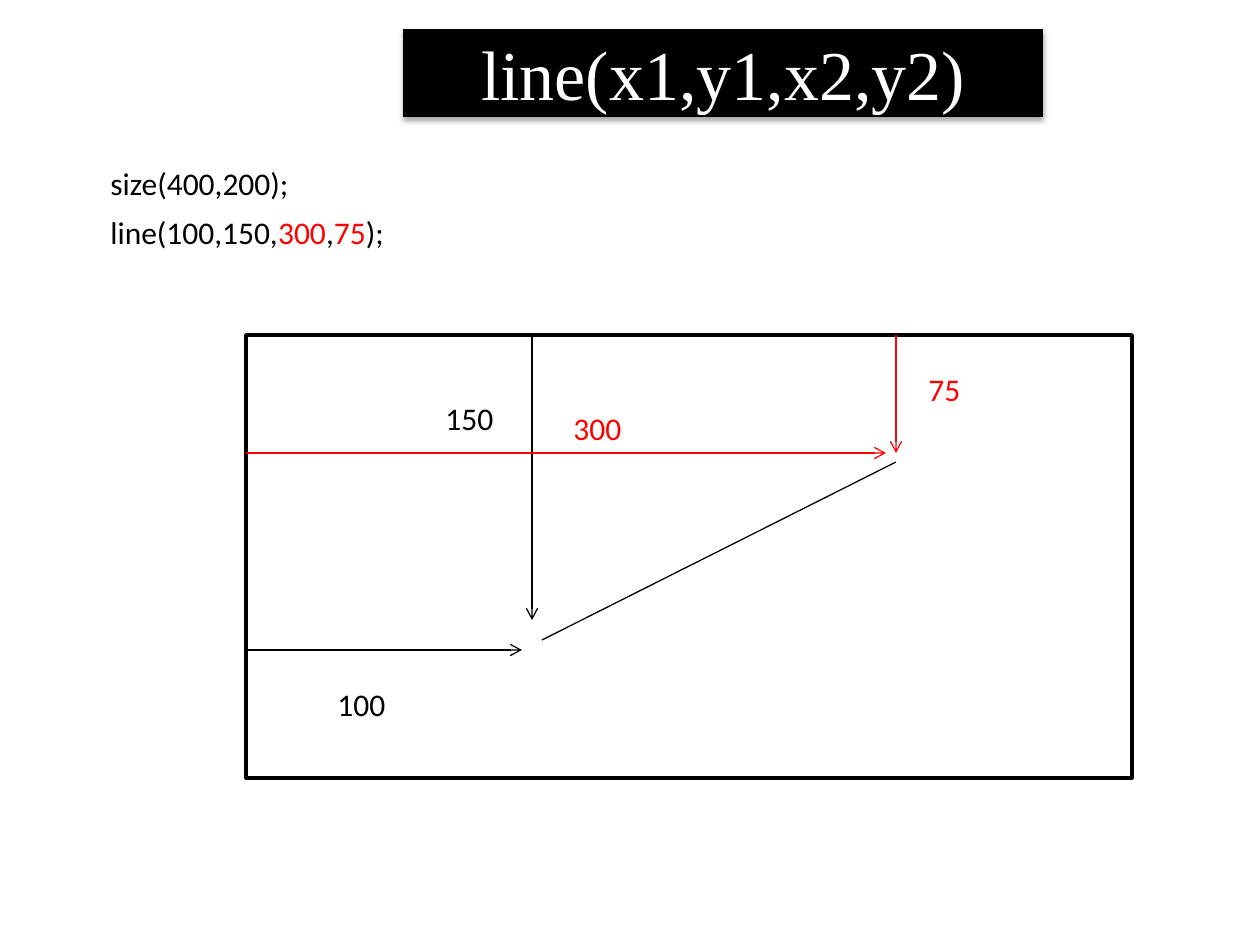
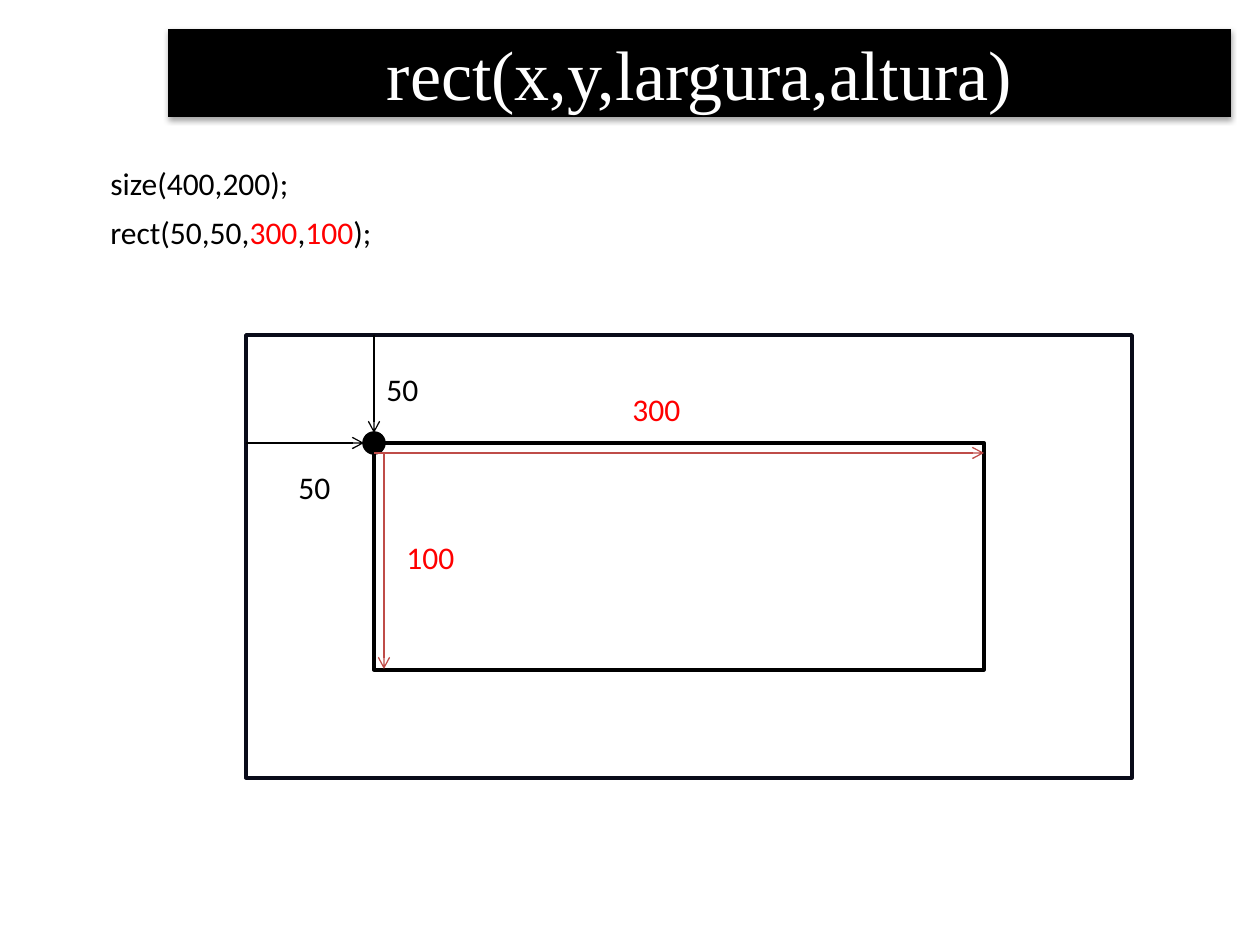
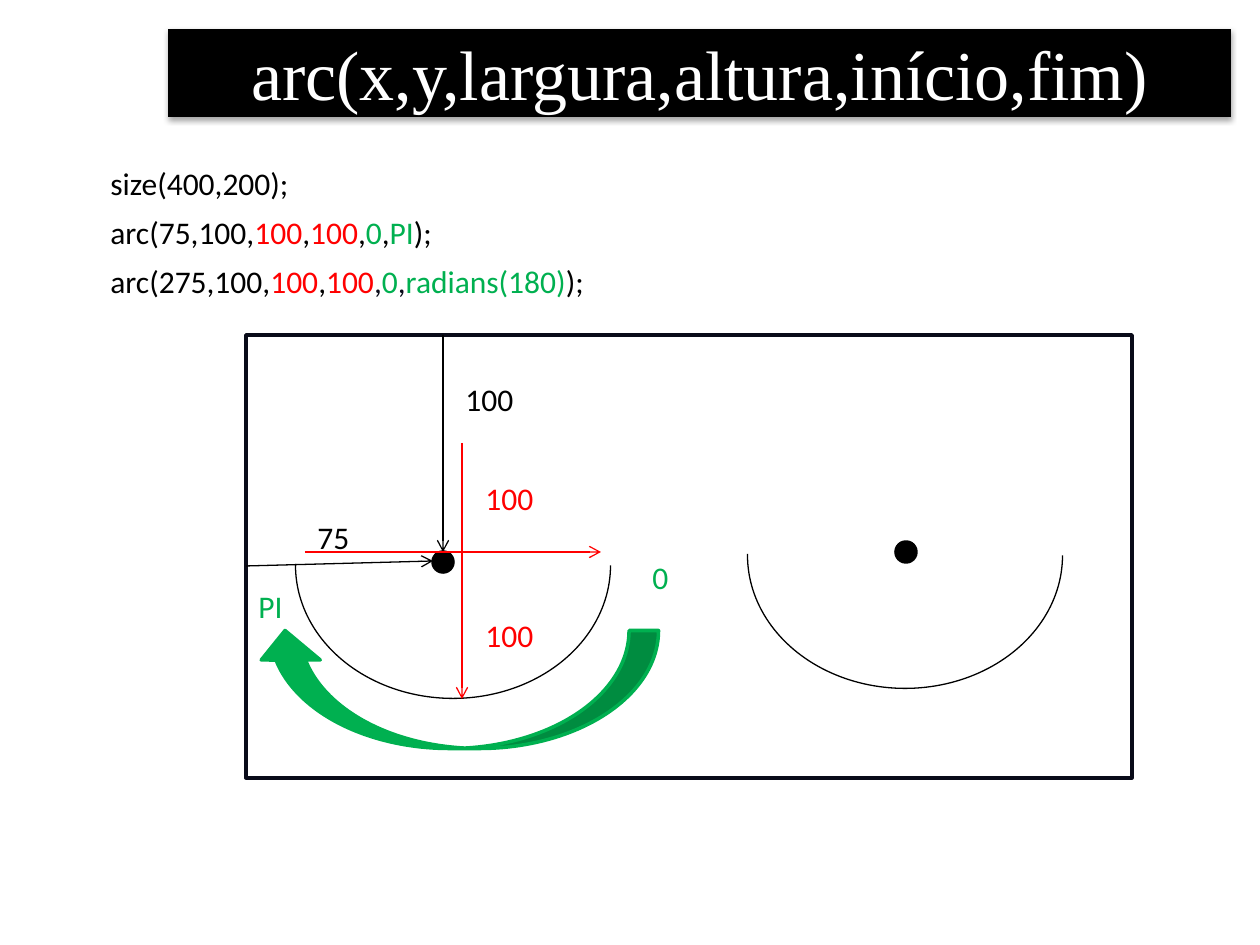
from lxml import etree
from pptx import Presentation
from pptx.dml.color import RGBColor
from pptx.enum.shapes import MSO_CONNECTOR, MSO_SHAPE
from pptx.enum.text import MSO_ANCHOR, MSO_AUTO_SIZE, PP_ALIGN
from pptx.oxml import parse_xml
from pptx.oxml.ns import nsdecls, qn
from pptx.util import Pt

RECT, OVAL = MSO_SHAPE.RECTANGLE, MSO_SHAPE.OVAL
ARC, CURVE = MSO_SHAPE.ARC, MSO_SHAPE.CURVED_LEFT_ARROW
LINE = MSO_CONNECTOR.STRAIGHT
MID, MITTE, FIXED = MSO_ANCHOR.MIDDLE, PP_ALIGN.CENTER, MSO_AUTO_SIZE.NONE

SCALE = 914400 / 126
COLORS = {"black": "000000", "white": "FFFFFF", "red": "FF0000",
          "green": "00B050", "navy": "090B19", "brick": "BF4C48"}
LEFT, TOP, WIDE, HIGH = 246, 335, 886, 443
ROW, STEP = 158, 49
SHADOW = (f'<a:effectLst {nsdecls("a")}><a:outerShdw blurRad="40000" dist="23000" '
          'dir="5400000" rotWithShape="0"><a:srgbClr val="000000">'
          '<a:alpha val="35000"/></a:srgbClr></a:outerShdw></a:effectLst>')
ROUND = f'<a:prstGeom {nsdecls("a")} prst="roundRect"><a:avLst/></a:prstGeom>'


def emu(*px):
    """Turn px lengths into EMU."""
    return [round(n * SCALE) for n in px]


def rgb(name):
    """Look up a named colour."""
    return RGBColor.from_string(COLORS[name])


class Deck:
    """Hold the style and the current slide."""

    def __init__(self):
        """Start an empty deck."""
        self.prs = Presentation()
        self.prs.slide_width, self.prs.slide_height = emu(1260, 945)

    def page(self, title, x=168, w=1063, edge="navy"):
        """Add a slide with its title band and canvas."""
        self.slide = self.prs.slides.add_slide(self.prs.slide_layouts[5])
        self.shapes = self.slide.shapes
        band = self.shapes.title
        band.left, band.top, band.width, band.height = emu(x, 29, w, 88)
        band._element.spPr.append(parse_xml(ROUND))
        band.fill.solid()
        band.fill.fore_color.rgb = rgb("black")
        band._element.spPr.append(parse_xml(SHADOW))
        frame = band.text_frame
        frame.text = title
        frame.auto_size, frame.vertical_anchor = FIXED, MID
        frame.paragraphs[0].alignment = MITTE
        self.font(frame.paragraphs[0].runs[0], "white", 40, "Times New Roman")
        self.shape(RECT, LEFT, TOP, WIDE, HIGH, "white", edge)

    def font(self, run, color, size=18, name="Calibri"):
        """Format one run."""
        run.font.name, run.font.size = name, Pt(size)
        run.font.color.rgb = rgb(color)

    def text(self, x, y, w, *parts):
        """Add a text box from (text, colour) parts."""
        frame = self.shapes.add_textbox(*emu(x, y, w, 50)).text_frame
        frame.word_wrap = True
        for words, color in parts:
            run = frame.paragraphs[0].add_run()
            run.text = words
            self.font(run, color)

    def label(self, x, y, words, color="black", w=79):
        """Add a short measure label."""
        self.text(x, y, w, (words, color))

    def code(self, *rows):
        """Add the code rows at an even step."""
        size = [("size(400,200);", "black")]
        for i, parts in enumerate([size, *rows]):
            self.text(98, ROW + i * STEP, 501 if i else 207, *parts)

    def shape(self, kind, x, y, w, h, fill=None, edge="black", width=2, turn=0):
        """Add a preset shape."""
        item = self.shapes.add_shape(kind, *emu(x, y, w, h))
        item.shadow.inherit = False
        item.rotation = turn
        if fill:
            item.fill.solid()
            item.fill.fore_color.rgb = rgb(fill)
        else:
            item.fill.background()
        item.line.color.rgb, item.line.width = rgb(edge), Pt(width)
        return item

    def dot(self, x, y):
        """Add a dot centred on a point."""
        self.shape(OVAL, x - 10, y - 10, 20, 20, "black")

    def bowl(self, x, y):
        """Add the lower half of an ellipse."""
        arc = self.shape(ARC, x, y, 266, 315, width=0.75, turn=90)
        arc.adjustments[0], arc.adjustments[1] = 162, 54.345

    def line(self, x1, y1, x2, y2, color="black", head=True):
        """Add a straight line, with an arrowhead by default."""
        link = self.shapes.add_connector(LINE, *emu(x1, y1, x2, y2))
        link.line.color.rgb, link.line.width = rgb(color), Pt(0.75)
        props = link._element.spPr
        if head:
            etree.SubElement(props.find(qn("a:ln")), qn("a:tailEnd"), type="arrow")
        etree.SubElement(props, qn("a:effectLst"))


def line_page(deck):
    """Build the line slide."""
    deck.page("line(x1,y1,x2,y2)", 403, 640, "black")
    deck.code([("line(100,150,", "black"), ("300", "red"), (",", "black"),
               ("75", "red"), (");", "black")])
    deck.line(532, TOP, 532, 620)
    deck.line(LEFT, 650, 522, 650)
    deck.label(433, 393, "150")
    deck.label(325, 679, "100")
    deck.line(542, 640, 896, 462, head=False)
    deck.line(LEFT, 453, 886, 453, "red")
    deck.label(561, 403, "300", "red")
    deck.line(896, TOP, 896, 453, "red")
    deck.label(916, 364, "75", "red")


def rect_page(deck):
    """Build the rect slide."""
    deck.page("rect(x,y,largura,altura)")
    deck.code([("rect(50,50,", "black"), ("300", "red"), (",", "black"),
               ("100", "red"), (");", "black")])
    deck.line(374, TOP, 374, 433)
    deck.line(LEFT, 443, 364, 443)
    deck.label(374, 364, "50")
    deck.label(286, 462, "50")
    deck.shape(RECT, 374, 443, 610, 227)
    deck.dot(374, 443)
    deck.line(374, 453, 984, 453, "brick")
    deck.label(620, 384, "300", "red")
    deck.label(394, 532, "100", "red")
    deck.line(384, 453, 384, 669, "brick")


def arc_page(deck):
    """Build the arc slide."""
    deck.page("arc(x,y,largura,altura,início,fim)")
    sizes = [("100", "red"), (",", "black"), ("100", "red")]
    deck.code(
        [("arc(75,100,", "black"), *sizes, (",", "black"), ("0", "green"),
         (",", "black"), ("PI", "green"), (");", "black")],
        [("arc(275,100,", "black"), *sizes, (",", "navy"), ("0", "green"),
         (",", "navy"), ("radians(180)", "green"), (");", "black")])
    deck.line(443, TOP, 443, 552)
    deck.line(LEFT, 566, 433, 561)
    deck.label(453, 374, "100")
    deck.label(305, 512, "75")
    deck.dot(443, 562)
    deck.bowl(320, 408)
    deck.line(305, 552, 601, 552, "red")
    deck.line(462, 443, 462, 699, "red")
    for y in (473, 610):
        deck.label(473, y, "100", "red")
    deck.shape(CURVE, 398, 488, 118, 403, "green", "green", turn=90)
    deck.label(640, 552, "0", "green", 49)
    deck.label(LEFT, 581, "PI", "green", 69)
    deck.dot(906, 552)
    deck.bowl(772, 398)


def main():
    """Build and save the deck."""
    deck = Deck()
    for build in (line_page, rect_page, arc_page):
        build(deck)
    deck.prs.save("out.pptx")


if __name__ == "__main__":
    main()
